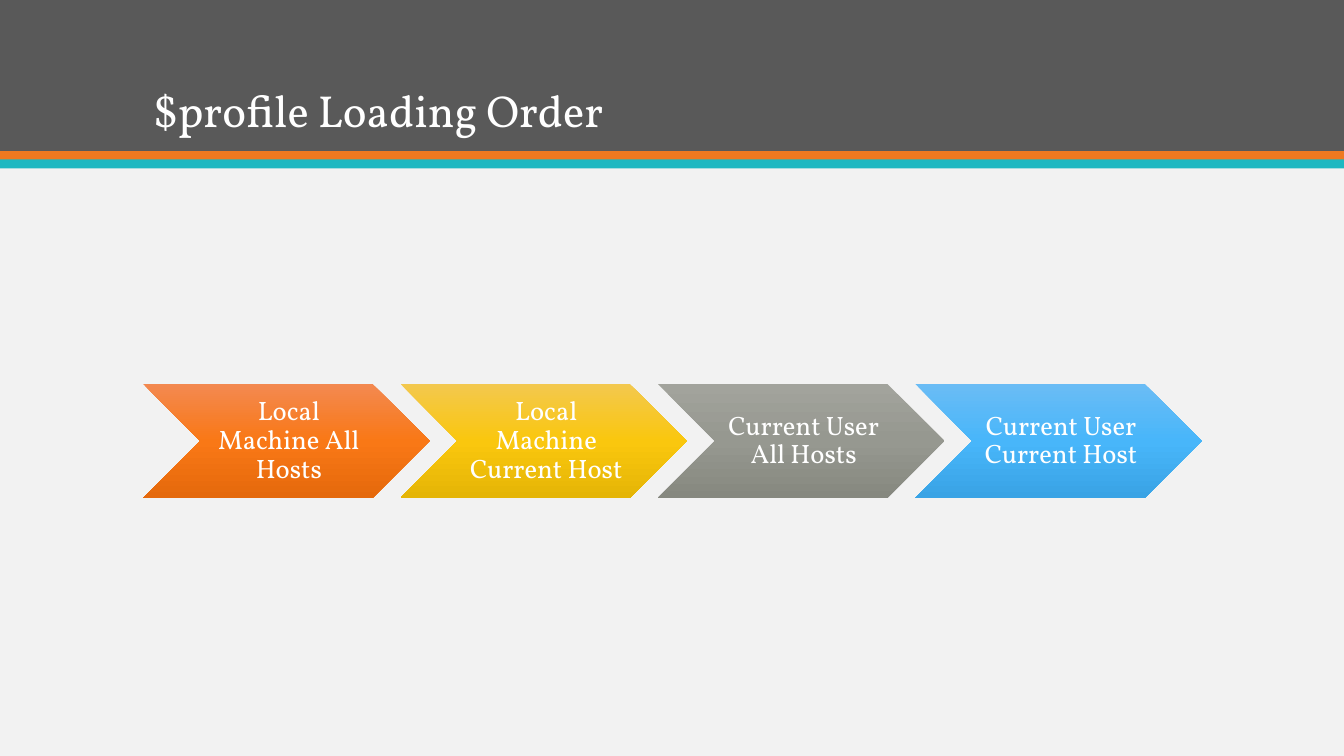
import copy

import pptx
import pptx.util
import pptx.dml.color
import pptx.enum.shapes
import pptx.enum.text

Inches = pptx.util.Inches
RGBColor = pptx.dml.color.RGBColor
Shape = pptx.enum.shapes.MSO_SHAPE
Anchor = pptx.enum.text.MSO_ANCHOR
Align = pptx.enum.text.PP_ALIGN

FONT = "Vollkorn"
WHITE = RGBColor(0xFF, 0xFF, 0xFF)
BACKGROUND = RGBColor(0xF2, 0xF2, 0xF2)
GREY = RGBColor(0x59, 0x59, 0x59)
ORANGE = RGBColor(0xEF, 0x79, 0x20)
TEAL = RGBColor(0x1E, 0xB8, 0xC1)
ORANGE_SHADES = (RGBColor(0xF3, 0x89, 0x50), RGBColor(0xF9, 0x78, 0x16), RGBColor(0xE5, 0x69, 0x0C))
YELLOW_SHADES = (RGBColor(0xF3, 0xC8, 0x4E), RGBColor(0xFA, 0xC7, 0x0E), RGBColor(0xE5, 0xB5, 0x06))
STONE_SHADES = (RGBColor(0xA2, 0xA3, 0x9C), RGBColor(0x96, 0x98, 0x90), RGBColor(0x86, 0x88, 0x7F))
BLUE_SHADES = (RGBColor(0x6A, 0xBC, 0xF5), RGBColor(0x48, 0xB6, 0xFA), RGBColor(0x39, 0xA3, 0xE5))

TITLE = "$profile Loading Order"
STEPS = [
    ("Local Machine All Hosts", ORANGE_SHADES),
    ("Local Machine Current Host", YELLOW_SHADES),
    ("Current User All Hosts", STONE_SHADES),
    ("Current User Current Host", BLUE_SHADES),
]
BANDS = [(0, 1.5, GREY), (1.5, 0.09, ORANGE), (1.58, 0.09, TEAL)]

PAGE_WIDTH, PAGE_HEIGHT = 13.33, 7.5
STEP_LEFT, STEP_TOP = 1.42, 3.81
STEP_WIDTH, STEP_HEIGHT = 2.84, 1.13
STEP_PITCH = 2.553
LABEL_INDENT, LABEL_WIDTH = 0.57, 1.7


def add_plain_shape(page, kind, left, top, width, height):
    shape = page.shapes.add_shape(kind, Inches(left), Inches(top), Inches(width), Inches(height))
    shape.shadow.inherit = False
    shape.line.fill.background()
    return shape


def fill_downward(shape, shades):
    shape.fill.gradient()
    shape.fill.gradient_angle = 270
    first = shape.fill.gradient_stops[0]._gs
    first.addnext(copy.deepcopy(first))
    for index, (stop, shade) in enumerate(zip(shape.fill.gradient_stops, shades)):
        stop.position = index / 2
        stop.color.rgb = shade


def add_text(page, text, left, top, width, height, *, size, anchor, align, insets):
    box = page.shapes.add_textbox(Inches(left), Inches(top), Inches(width), Inches(height))
    frame = box.text_frame
    frame.word_wrap = True
    frame.vertical_anchor = anchor
    frame.margin_left, frame.margin_top, frame.margin_right, frame.margin_bottom = map(Inches, insets)
    para = frame.paragraphs[0]
    para.alignment = align
    para.line_spacing = 0.9
    span = para.add_run()
    span.text = text
    span.font.name = FONT
    span.font.size = pptx.util.Pt(size)
    span.font.color.rgb = WHITE


def main():
    deck = pptx.Presentation()
    deck.slide_width, deck.slide_height = Inches(PAGE_WIDTH), Inches(PAGE_HEIGHT)
    page = deck.slides.add_slide(deck.slide_layouts[6])
    page.background.fill.solid()
    page.background.fill.fore_color.rgb = BACKGROUND

    for top, height, color in BANDS:
        band = add_plain_shape(page, Shape.RECTANGLE, 0, top, PAGE_WIDTH, height)
        band.fill.solid()
        band.fill.fore_color.rgb = color

    add_text(page, TITLE, 1.42, 0.28, 10.5, 1.13, size=32, anchor=Anchor.BOTTOM,
             align=Align.LEFT, insets=(0.1, 0.05, 0.1, 0.05))

    for index, (label, shades) in enumerate(STEPS):
        left = STEP_LEFT + index * STEP_PITCH
        chevron = add_plain_shape(page, Shape.CHEVRON, left, STEP_TOP, STEP_WIDTH, STEP_HEIGHT)
        fill_downward(chevron, shades)
        add_text(page, label, left + LABEL_INDENT, STEP_TOP, LABEL_WIDTH, STEP_HEIGHT, size=19,
                 anchor=Anchor.MIDDLE, align=Align.CENTER, insets=(0.08, 0.03, 0.03, 0.03))

    deck.save("out.pptx")


if __name__ == "__main__":
    main()
